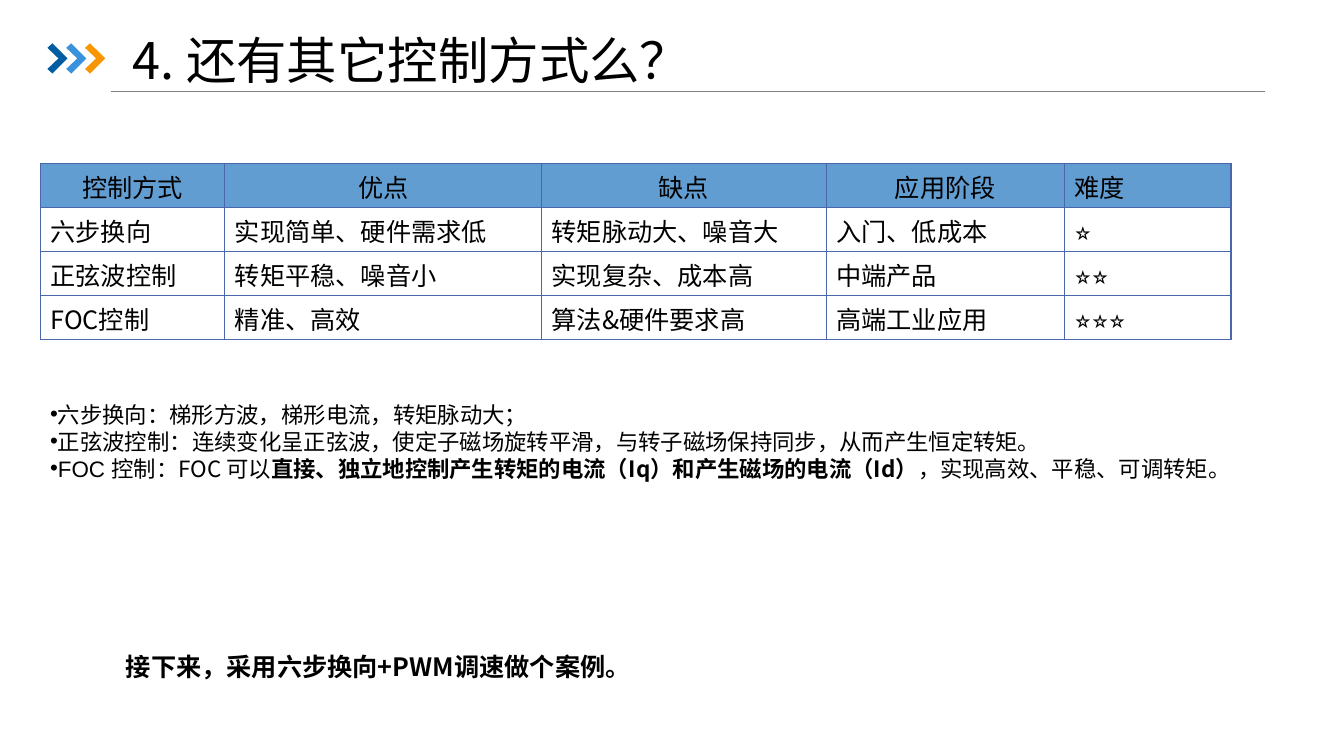
from lxml import etree
from pptx import Presentation
from pptx.dml.color import RGBColor
from pptx.enum.shapes import MSO_CONNECTOR
from pptx.enum.text import MSO_ANCHOR as ANCHOR, PP_ALIGN as ALIGN
from pptx.oxml.ns import qn
from pptx.util import Inches, Pt

BLACK = RGBColor(0x00, 0x00, 0x00)
GREY = RGBColor(0x80, 0x80, 0x80)
HEADER_BLUE = RGBColor(0x62, 0x9D, 0xD1)
BORDER_BLUE = RGBColor(0x4A, 0x66, 0xAC)
CHEVRON_COLORS = (RGBColor(0x00, 0x5D, 0xA2), RGBColor(0x39, 0x92, 0xDB),
                  RGBColor(0xF7, 0x96, 0x00))
NOTO, ARIAL = "Noto Sans CJK SC", "Arial"
WIDTH, HEIGHT = Inches(13.33), Inches(7.5)

CHEVRON = ((0, .15), (.25, 0), (1, .5), (.25, 1), (0, .85), (.55, .5))
COLUMN_SHARES = (.155, .266, .239, .2, .14)
METHODS = (
    ("控制方式", "优点", "缺点", "应用阶段", "难度"),
    ("六步换向", "实现简单、硬件需求低", "转矩脉动大、噪音大", "入门、低成本", "⭐"),
    ("正弦波控制", "转矩平稳、噪音小", "实现复杂、成本高", "中端产品", "⭐⭐"),
    ("FOC控制", "精准、高效", "算法&硬件要求高", "高端工业应用", "⭐⭐⭐"),
)
# Each run: text, font, bold
NOTES = (
    (("六步换向：梯形方波，", ARIAL, False), ("梯形电流，转矩脉动大；", NOTO, False)),
    (("正弦波控制：", ARIAL, False),
     ("连续变化呈正弦波，使定子磁场旋转平滑，与转子磁场保持同步，从而产生恒定转矩。", NOTO, False)),
    (("FOC 控制：", ARIAL, False), ("FOC 可以", NOTO, False),
     ("直接、独立地控制产生转矩的电流（Iq）和产生磁场的电流（Id）", NOTO, True),
     ("，实现高效、平稳、可调转矩。", NOTO, False)),
)


def grid(col, row, cols, rows):
    """Turn percent columns and rows of the slide into a box in EMU."""
    return (int(WIDTH * col / 100), int(HEIGHT * row / 100),
            int(WIDTH * cols / 100), int(HEIGHT * rows / 100))


def add_run(p, text, size=18, font=NOTO, bold=False):
    r = p.add_run()
    r.text = text
    r.font.name, r.font.size, r.font.bold = font, Pt(size), bold
    r.font.color.rgb = BLACK
    etree.SubElement(r.font._element, qn("a:ea"), typeface=NOTO)


def add_box(s, box, anchor=ANCHOR.TOP):
    tf = s.shapes.add_textbox(*box).text_frame
    tf.word_wrap, tf.vertical_anchor = True, anchor
    return tf


def add_chevrons(s, box, pitch):
    left, top, width, height = box
    for i, color in enumerate(CHEVRON_COLORS):
        points = [(left + i * pitch + x * width, top + y * height) for x, y in CHEVRON]
        builder = s.shapes.build_freeform(*points[0])
        builder.add_line_segments(points[1:], close=True)
        sp = builder.convert_to_shape()
        sp.shadow.inherit = False
        sp.fill.solid()
        sp.fill.fore_color.rgb = color
        sp.line.fill.background()


def add_rule(s, box):
    left, top, width, _ = box
    line = s.shapes.add_connector(MSO_CONNECTOR.STRAIGHT, left, top, left + width, top)
    line.line.color.rgb, line.line.width = GREY, Pt(.5)
    etree.SubElement(line._element.spPr, qn("a:effectLst"))


def add_title(s, box):
    p = add_box(s, box, ANCHOR.MIDDLE).paragraphs[0]
    p.line_spacing = .9
    add_run(p, "4. 还有其它控制方式么？", size=36)


def add_borders(cell):
    tc_pr = cell._tc.get_or_add_tcPr()
    for i, side in enumerate(("lnL", "lnR", "lnT", "lnB")):
        ln = etree.Element(qn(f"a:{side}"), w=str(Pt(1)))
        fill = etree.SubElement(ln, qn("a:solidFill"))
        etree.SubElement(fill, qn("a:srgbClr"), val=str(BORDER_BLUE))
        tc_pr.insert(i, ln)


def add_methods_table(s, box):
    table = s.shapes.add_table(len(METHODS), len(COLUMN_SHARES), *box).table
    table.horz_banding = table.first_row = False
    for column, share in zip(table.columns, COLUMN_SHARES):
        column.width = int(box[2] * share)
    for i, row in enumerate(METHODS):
        for j, text in enumerate(row):
            cell = table.cell(i, j)
            cell.vertical_anchor = ANCHOR.MIDDLE
            if i == 0:
                cell.fill.solid()
                cell.fill.fore_color.rgb = HEADER_BLUE
            else:
                cell.fill.background()
            add_borders(cell)
            p = cell.text_frame.paragraphs[0]
            centred = i == 0 and j < len(row) - 1
            p.alignment = ALIGN.CENTER if centred else ALIGN.LEFT
            add_run(p, text)


def add_notes(s, box):
    tf = add_box(s, box, ANCHOR.MIDDLE)
    for i, runs in enumerate(NOTES):
        p = tf.paragraphs[0] if i == 0 else tf.add_paragraph()
        p.line_spacing = Pt(19.3)
        p_pr = p._p.get_or_add_pPr()
        etree.SubElement(p_pr, qn("a:buFont"), typeface=ARIAL)
        etree.SubElement(p_pr, qn("a:buChar"), char="•")
        for text, font, bold in runs:
            add_run(p, text, size=16, font=font, bold=bold)


def add_closing(s, box):
    add_run(add_box(s, box).paragraphs[0], "接下来，采用六步换向+PWM调速做个案例。", bold=True)


def main():
    prs = Presentation()
    prs.slide_width, prs.slide_height = WIDTH, HEIGHT
    s = prs.slides.add_slide(prs.slide_layouts[6])
    add_rule(s, grid(8.25, 12.13, 85.9, 0))
    add_chevrons(s, grid(3.53, 5.73, 1.5, 4), pitch=WIDTH * .014)
    add_title(s, grid(9.15, 5.47, 86.35, 5.73))
    add_methods_table(s, grid(3, 21.6, 88.6, 23.33))
    add_closing(s, grid(8.63, 85.47, 50, 5.33))
    add_notes(s, grid(3, 52.27, 95.8, 12.13))
    prs.save("out.pptx")


if __name__ == "__main__":
    main()
